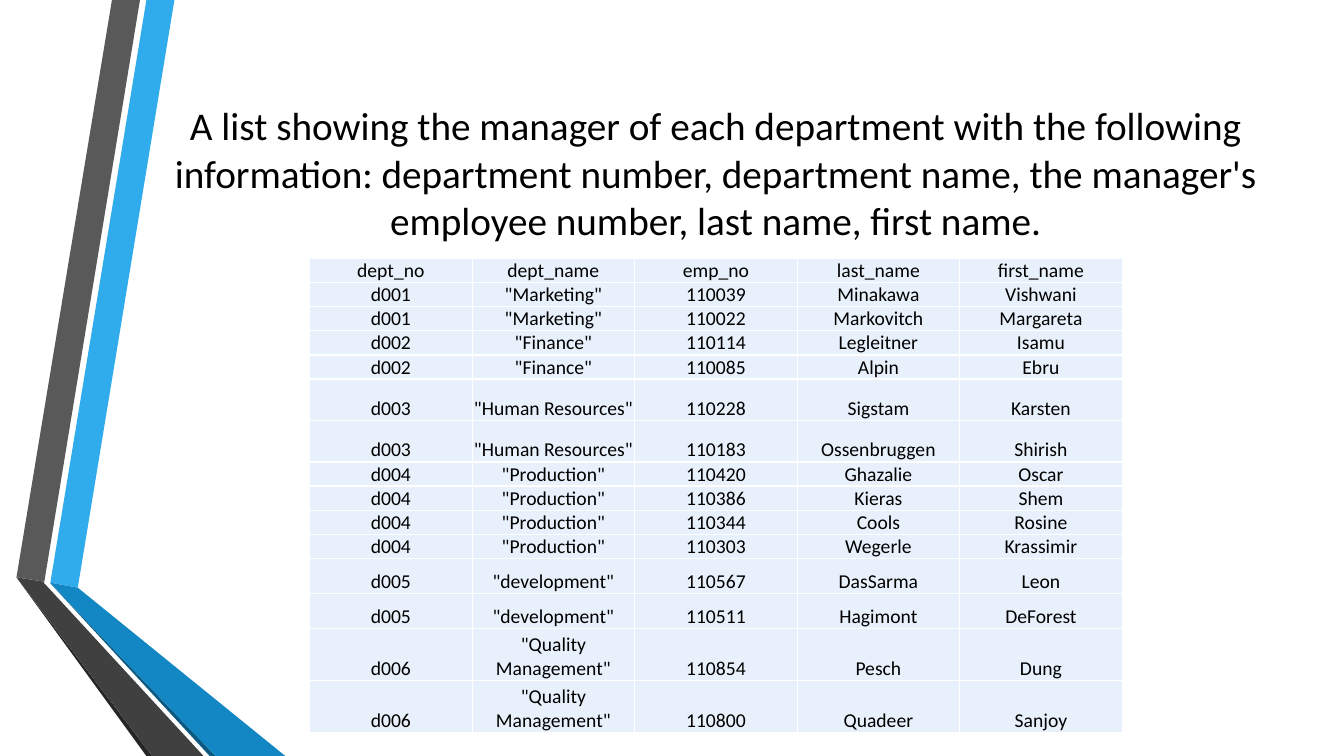
from lxml.etree import SubElement
from pptx import Presentation
from pptx.dml.color import RGBColor
from pptx.enum.text import MSO_ANCHOR, PP_ALIGN
from pptx.oxml.ns import qn
from pptx.util import Pt

TITLE = ("A list showing the manager of each department with the following "
         "information: department number, department name, the manager's "
         "employee number, last name, first name.")
HEADER = ("dept_no", "dept_name", "emp_no", "last_name", "first_name")
# number, name, row height, managers
DEPARTMENTS = [
    ("d001", '"Marketing"', 15.1, [("110039", "Minakawa", "Vishwani"),
                                   ("110022", "Markovitch", "Margareta")]),
    ("d002", '"Finance"', 15.1, [("110114", "Legleitner", "Isamu"),
                                 ("110085", "Alpin", "Ebru")]),
    ("d003", '"Human Resources"', 29.6, [("110228", "Sigstam", "Karsten"),
                                         ("110183", "Ossenbruggen", "Shirish")]),
    ("d004", '"Production"', 15.1, [("110420", "Ghazalie", "Oscar"),
                                    ("110386", "Kieras", "Shem"),
                                    ("110344", "Cools", "Rosine"),
                                    ("110303", "Wegerle", "Krassimir")]),
    ("d005", '"development"', 25, [("110567", "DasSarma", "Leon"),
                                   ("110511", "Hagimont", "DeForest")]),
    ("d006", '"Quality Management"', 37.3, [("110854", "Pesch", "Dung"),
                                            ("110800", "Quadeer", "Sanjoy")]),
]

BLACK = RGBColor(0x00, 0x00, 0x00)
WHITE = RGBColor(0xFF, 0xFF, 0xFF)
PALE_BLUE = RGBColor(0xE8, 0xF1, 0xFB)
BRIGHT_BLUE = RGBColor(0x30, 0xAC, 0xEC)
MID_BLUE = RGBColor(0x12, 0x87, 0xC3)
DEEP_BLUE = RGBColor(0x0C, 0x5A, 0x82)
GREY = RGBColor(0x59, 0x59, 0x59)
DARK_GREY = RGBColor(0x40, 0x40, 0x40)
NEAR_BLACK = RGBColor(0x26, 0x26, 0x26)

# Folded ribbons at the left edge: colour and outline
RIBBONS = [
    (BRIGHT_BLUE, [(36, 416.2), (55.6, 419.8), (124.6, 0), (104.6, 0)]),
    (GREY, [(100, 0), (80, 0), (11.8, 412.4), (31.7, 415.5)]),
    (NEAR_BLACK, [(11.8, 412.4), (104.6, 540), (108.7, 540)]),
    (DEEP_BLUE, [(36, 416.6), (149.8, 540), (154.1, 540)]),
    (MID_BLUE, [(36, 416.6), (154.1, 540), (203.8, 540), (55.6, 419.8), (36, 416.2)]),
    (DARK_GREY, [(145.4, 540), (34.6, 419.8), (31.2, 416.2), (31.7, 415.5),
                 (11.8, 412.4), (108.7, 540)]),
]

FONT = "Calibri"
TABLE_LEFT, TABLE_TOP, COL_WIDTH = 221.2, 184.6, 116.1
HEADER_HEIGHT = 15.1
CELL_INSET = 0.4


def add_ribbon(slide, color, outline):
    points = [(Pt(x), Pt(y)) for x, y in outline]
    builder = slide.shapes.build_freeform(*points[0])
    builder.add_line_segments(points[1:], close=True)
    sp = builder.convert_to_shape()
    sp.shadow.inherit = False
    sp.fill.solid()
    sp.fill.fore_color.rgb = color
    sp.line.fill.background()


def write(tf, text, size):
    """Fill a text frame with one centred black run."""
    tf.word_wrap = True
    p = tf.paragraphs[0]
    p.alignment = PP_ALIGN.CENTER
    r = p.add_run()
    r.text = text
    r.font.name = FONT
    r.font.size = Pt(size)
    r.font.color.rgb = BLACK


def set_borders(cell, color, width):
    tc_pr = cell._tc.get_or_add_tcPr()
    for i, side in enumerate(("a:lnL", "a:lnR", "a:lnT", "a:lnB")):
        ln = tc_pr.makeelement(qn(side), {"w": str(Pt(width))})
        fill = SubElement(ln, qn("a:solidFill"))
        SubElement(fill, qn("a:srgbClr"), val=str(color))
        tc_pr.insert(i, ln)


def add_manager_table(slide):
    rows = [(HEADER_HEIGHT, HEADER)]
    for number, name, height, managers in DEPARTMENTS:
        rows += [(height, (number, name, *manager)) for manager in managers]
    frame = slide.shapes.add_table(
        len(rows), len(HEADER), Pt(TABLE_LEFT), Pt(TABLE_TOP),
        Pt(COL_WIDTH * len(HEADER)), Pt(sum(height for height, _ in rows)))
    table = frame.table
    for column in table.columns:
        column.width = Pt(COL_WIDTH)
    for row, (height, values) in zip(table.rows, rows):
        row.height = Pt(height)
        for cell, value in zip(row.cells, values):
            cell.margin_left = cell.margin_right = cell.margin_top = Pt(CELL_INSET)
            cell.margin_bottom = Pt(0)
            cell.vertical_anchor = MSO_ANCHOR.BOTTOM
            cell.fill.solid()
            cell.fill.fore_color.rgb = PALE_BLUE
            set_borders(cell, WHITE, 1)
            write(cell.text_frame, value, 14)


def main():
    prs = Presentation()
    prs.slide_width, prs.slide_height = Pt(960), Pt(540)
    s = prs.slides.add_slide(prs.slide_layouts[6])
    for color, outline in RIBBONS:
        add_ribbon(s, color, outline)
    title = s.shapes.add_textbox(Pt(116.6), Pt(54), Pt(789.1), Pt(138.2))
    title.text_frame.vertical_anchor = MSO_ANCHOR.MIDDLE
    write(title.text_frame, TITLE, 28)
    add_manager_table(s)
    prs.save("out.pptx")


if __name__ == "__main__":
    main()
